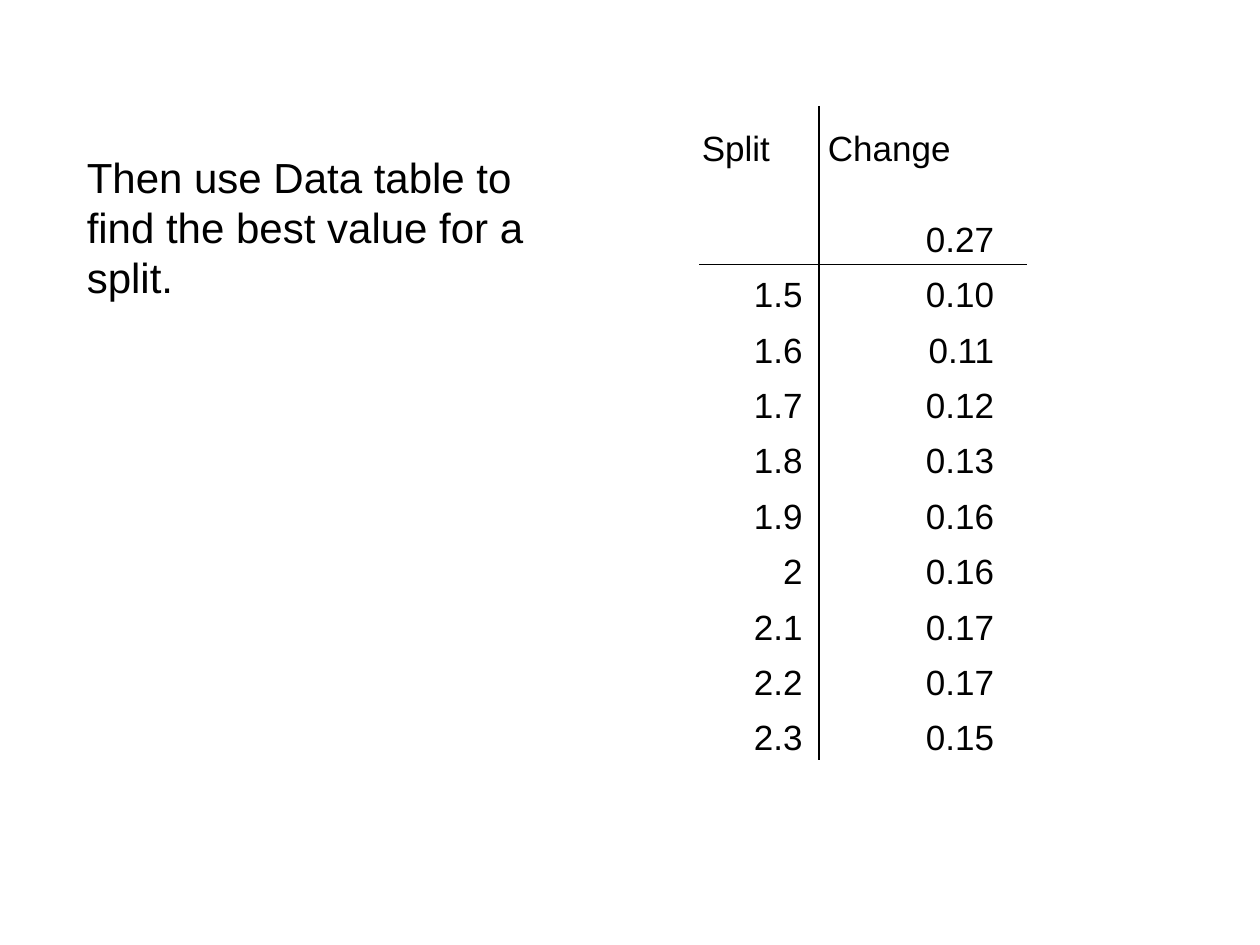
from dataclasses import dataclass

from pptx import Presentation
from pptx.dml.color import RGBColor
from pptx.enum.shapes import MSO_CONNECTOR
from pptx.enum.text import MSO_ANCHOR, MSO_AUTO_SIZE, PP_ALIGN
from pptx.oxml.ns import qn
from pptx.util import Inches, Pt


@dataclass(frozen=True)
class Theme:
    """Hold the colours, font and sizes of the slide."""
    ink: RGBColor = RGBColor(0, 0, 0)
    paper: RGBColor = RGBColor(255, 255, 255)
    font: str = "Arial"
    body: int = 24
    cell: int = 20
    rule: float = 0.75


THEME = Theme()
LEFT, TOP = 5.47, 0.84
WIDTHS = [1, 1.52]
HEIGHTS = [0.55, 0.72] + [0.44] * 9
ROWS = [
    ("Split", "Change"), ("", "0.27"),
    ("1.5", "0.10"), ("1.6", "0.11"), ("1.7", "0.12"),
    ("1.8", "0.13"), ("1.9", "0.16"), ("2", "0.16"),
    ("2.1", "0.17"), ("2.2", "0.17"), ("2.3", "0.15"),
]


def add_run(para, text, size):
    """Add one styled run to a paragraph."""
    run = para.add_run()
    run.text = text
    run.font.name = THEME.font
    run.font.size = Pt(size)
    run.font.bold = False
    run.font.color.rgb = THEME.ink


def add_note(slide, text, left, top, width, height):
    """Add a wrapped text box."""
    box = slide.shapes.add_textbox(
        Inches(left), Inches(top), Inches(width), Inches(height))
    frame = box.text_frame
    frame.word_wrap = True
    frame.auto_size = MSO_AUTO_SIZE.SHAPE_TO_FIT_TEXT
    para = frame.paragraphs[0]
    para.space_before = Pt(15)
    add_run(para, text, THEME.body)


def add_grid(slide):
    """Add the table of splits and changes."""
    table = slide.shapes.add_table(
        len(ROWS), len(WIDTHS), Inches(LEFT), Inches(TOP),
        Inches(sum(WIDTHS)), Inches(sum(HEIGHTS))).table
    table.first_row = table.horz_banding = False
    for col, width in zip(table.columns, WIDTHS):
        col.width = Inches(width)
    for index, (row, height, texts) in enumerate(
            zip(table.rows, HEIGHTS, ROWS)):
        row.height = Inches(height)
        for cell, text in zip(row.cells, texts):
            cell.fill.background()
            cell.vertical_anchor = MSO_ANCHOR.BOTTOM
            para = cell.text_frame.paragraphs[0]
            para.alignment = PP_ALIGN.RIGHT if index else PP_ALIGN.LEFT
            if text:
                add_run(para, text, THEME.cell)


def add_rule(slide, left, top, right, low):
    """Add a thin straight line."""
    line = slide.shapes.add_connector(
        MSO_CONNECTOR.STRAIGHT, Inches(left), Inches(top),
        Inches(right), Inches(low))
    line.line.color.rgb = THEME.ink
    line.line.width = Pt(THEME.rule)
    props = line._element.spPr
    props.append(props.makeelement(qn("a:effectLst"), {}))


def main():
    """Build and save the slide."""
    deck = Presentation()
    deck.slide_width, deck.slide_height = Inches(10), Inches(7.5)
    slide = deck.slides.add_slide(deck.slide_layouts[6])
    fill = slide.background.fill
    fill.solid()
    fill.fore_color.rgb = THEME.paper
    add_grid(slide)
    add_note(slide, "Then use Data table to find the best value for a split.",
             0.59, 1.15, 3.78, 1.3)
    add_rule(slide, 5.55, 2.1, 8.15, 2.1)
    add_rule(slide, 6.5, TOP, 6.5, 6.03)
    deck.save("out.pptx")


if __name__ == "__main__":
    main()
